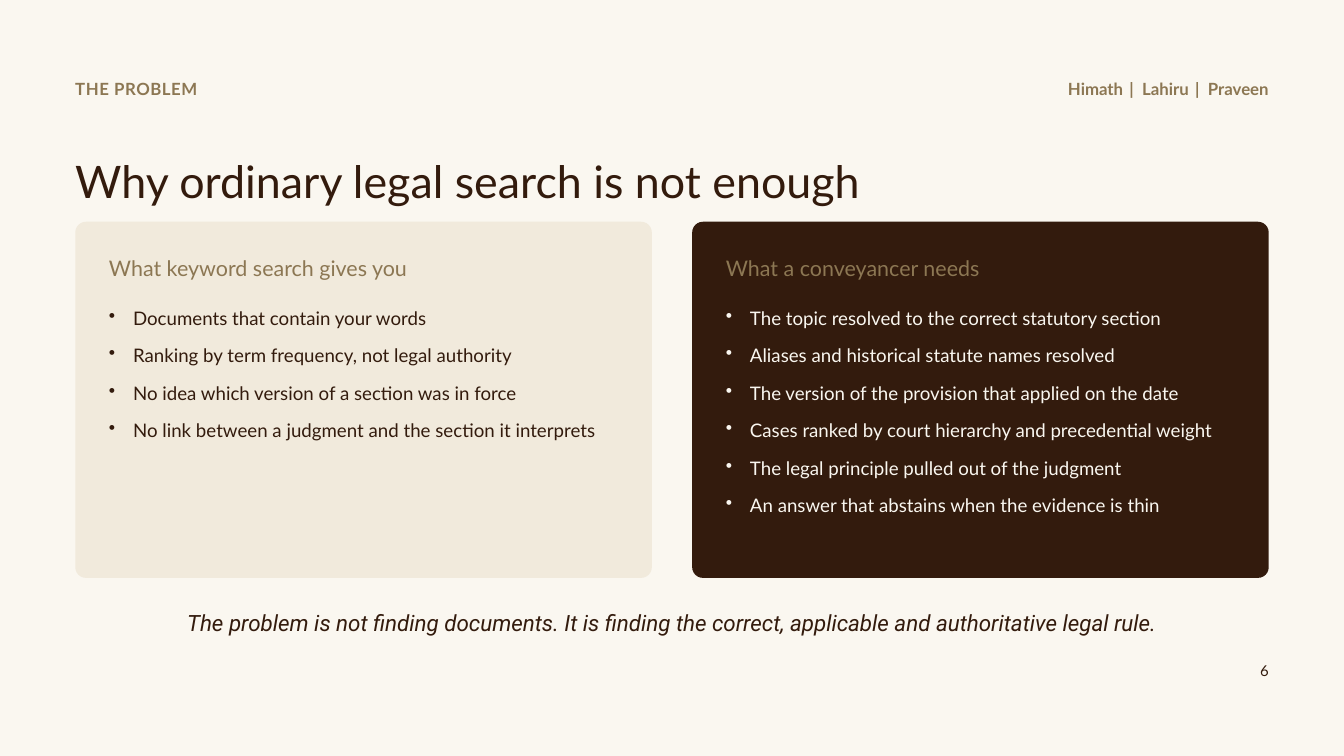
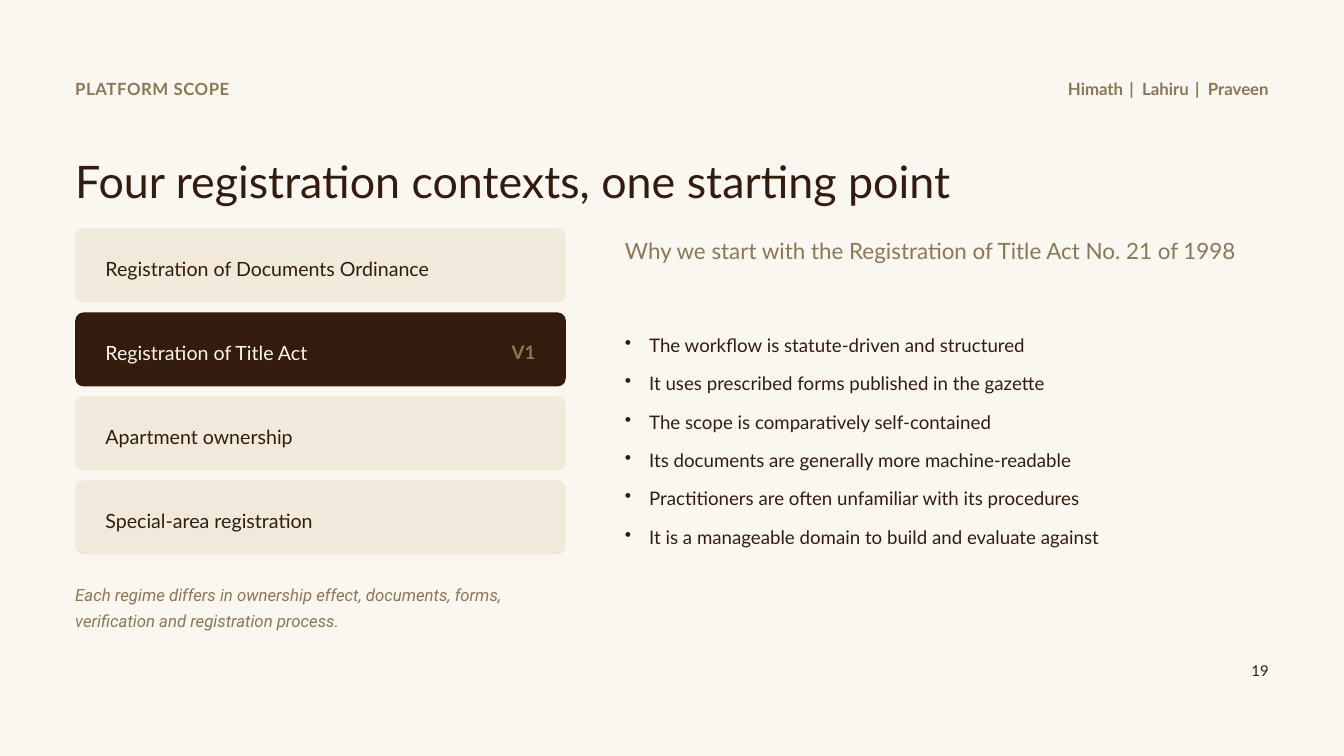
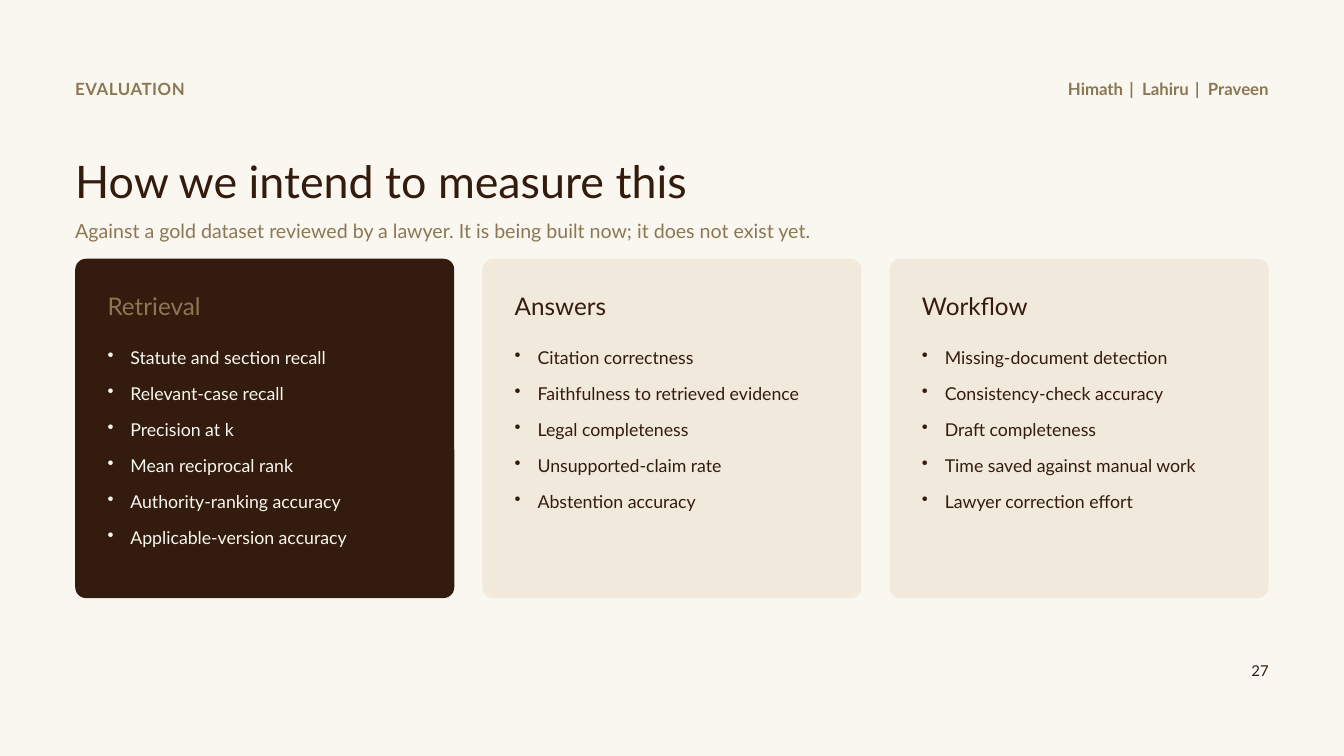
from lxml import etree
from pptx import Presentation
from pptx.dml.color import RGBColor
from pptx.enum.shapes import MSO_SHAPE
from pptx.enum.text import MSO_ANCHOR, MSO_AUTO_SIZE, PP_ALIGN
from pptx.oxml.ns import qn
from pptx.util import Pt

ROUNDED = MSO_SHAPE.ROUNDED_RECTANGLE
LEFT, CENTER, RIGHT = PP_ALIGN.LEFT, PP_ALIGN.CENTER, PP_ALIGN.RIGHT
TOP, MIDDLE = MSO_ANCHOR.TOP, MSO_ANCHOR.MIDDLE

PX = 9144  # EMU per px, 100 px to the inch
SLIDE_W, SLIDE_H = 2000, 1125
MARGIN = 112
CONTENT_W = SLIDE_W - 2 * MARGIN
RIGHT_EDGE = SLIDE_W - MARGIN

COLORS = {"paper": "FAF7F0", "sand": "F1EADC", "brown": "331B0D", "tan": "8C7753"}

# Each style: line spacing, then font values
STYLES = {
    "kicker": (1.05, {"size": Pt(18), "name": "Lato", "bold": True}),
    "page": (1.05, {"size": Pt(16), "name": "Lato"}),
    "title": (1.14, {"size": Pt(48), "name": "Lato"}),
    "subtitle": (1.3, {"size": Pt(21), "name": "Lato"}),
    "takeaway": (1.3, {"size": Pt(24), "name": "Roboto", "italic": True}),
    "note": (1.32, {"size": Pt(18), "name": "Roboto", "italic": True}),
    "context": (1.24, {"size": Pt(21), "name": "Lato"}),
    "badge": (1.2, {"size": Pt(20), "name": "Lato", "bold": True}),
    "reason heading": (1.2, {"size": Pt(24), "name": "Lato"}),
    "problem heading": (1.2, {"size": Pt(23), "name": "Lato"}),
    "metric heading": (1.18, {"size": Pt(26), "name": "Lato"}),
    "list": (1.34, {"size": Pt(20), "name": "Lato"}),
    "metric list": (1.34, {"size": Pt(19), "name": "Lato"}),
}


def add_text(slide, box, lines, style, color, align=LEFT, anchor=TOP, gap=0, indent=0):
    """Write lines, each a list of (text, letter spacing in pt); an indent in px adds bullets."""
    frame = slide.shapes.add_textbox(*(v * PX for v in box)).text_frame
    frame_format = {"word_wrap": True, "auto_size": MSO_AUTO_SIZE.NONE, "vertical_anchor": anchor,
                    "margin_left": 0, "margin_right": 0, "margin_top": 0, "margin_bottom": 0}
    for name, value in frame_format.items():
        setattr(frame, name, value)
    line_spacing, font_format = STYLES[style]
    for number, line in enumerate(lines):
        paragraph = frame.add_paragraph() if number else frame.paragraphs[0]
        paragraph.alignment = align
        paragraph.line_spacing = line_spacing
        if number:
            paragraph.space_before = Pt(gap)
        if indent:
            properties = paragraph._p.get_or_add_pPr()
            properties.set("marL", str(indent * PX))
            properties.set("indent", str(-indent * PX))
            etree.SubElement(properties, qn("a:buChar")).set("char", "•")
        for text, letter_spacing in [(line, 0)] if isinstance(line, str) else line:
            run = paragraph.add_run()
            run.text = text
            for name, value in font_format.items():
                setattr(run.font, name, value)
            run.font.color.rgb = RGBColor.from_string(COLORS[color])
            if letter_spacing:
                run._r.get_or_add_rPr().set("spc", str(round(letter_spacing * 100)))


def add_panel(slide, box, color, radius):
    panel = slide.shapes.add_shape(ROUNDED, *(v * PX for v in box))
    panel.adjustments[0] = radius / min(box[2:])
    panel.shadow.inherit = False
    panel.fill.solid()
    panel.fill.fore_color.rgb = RGBColor.from_string(COLORS[color])
    panel.line.fill.background()


deck = Presentation()
deck.slide_width, deck.slide_height = SLIDE_W * PX, SLIDE_H * PX

# Shared frame: section, presenters, page number, title
headers = [
    ("THE PROBLEM", "Why ordinary legal search is not enough", "6"),
    ("PLATFORM SCOPE", "Four registration contexts, one starting point", "19"),
    ("EVALUATION", "How we intend to measure this", "27"),
]
separator = (" | ", 2.3)
presenters = [("Himath", 0), separator, ("Lahiru", 0), separator, ("Praveen", 0)]

for section, title, page in headers:
    slide = deck.slides.add_slide(deck.slide_layouts[6])
    slide.background.fill.solid()
    slide.background.fill.fore_color.rgb = RGBColor.from_string(COLORS["paper"])
    add_text(slide, (MARGIN, 116, 900, 32), [[(section, 0.6)]], "kicker", "tan")
    add_text(slide, (RIGHT_EDGE - 500, 116, 500, 32), [presenters], "kicker", "tan", RIGHT)
    add_text(slide, (RIGHT_EDGE - 500, 983, 500, 29), [page], "page", "brown", RIGHT)
    add_text(slide, (MARGIN, 218, 1550, 82), [title], "title", "brown")

problem, scope, evaluation = deck.slides

# Rows of cards on the problem and evaluation slides
card_rows = [
    {"slide": problem, "top": 330, "height": 530, "gap": 60, "padding": 50,
     "heading": ("problem heading", 42), "list": ("list", 115), "indent": 36,
     "cards": [
         ("sand", "tan", "brown", "What keyword search gives you", [
             "Documents that contain your words",
             "Ranking by term frequency, not legal authority",
             "No idea which version of a section was in force",
             "No link between a judgment and the section it interprets"]),
         ("brown", "tan", "paper", "What a conveyancer needs", [
             "The topic resolved to the correct statutory section",
             "Aliases and historical statute names resolved",
             "The version of the provision that applied on the date",
             "Cases ranked by court hierarchy and precedential weight",
             "The legal principle pulled out of the judgment",
             "An answer that abstains when the evidence is thin"])]},
    {"slide": evaluation, "top": 385, "height": 505, "gap": 42, "padding": 48,
     "heading": ("metric heading", 40), "list": ("metric list", 120), "indent": 34,
     "cards": [
         ("brown", "tan", "paper", "Retrieval", [
             "Statute and section recall", "Relevant-case recall", "Precision at k",
             "Mean reciprocal rank", "Authority-ranking accuracy",
             "Applicable-version accuracy"]),
         ("sand", "brown", "brown", "Answers", [
             "Citation correctness", "Faithfulness to retrieved evidence",
             "Legal completeness", "Unsupported-claim rate", "Abstention accuracy"]),
         ("sand", "brown", "brown", "Workflow", [
             "Missing-document detection", "Consistency-check accuracy",
             "Draft completeness", "Time saved against manual work",
             "Lawyer correction effort"])]},
]
for row in card_rows:
    slide, top, height, padding = row["slide"], row["top"], row["height"], row["padding"]
    count = len(row["cards"])
    width = (CONTENT_W - (count - 1) * row["gap"]) // count
    heading_style, heading_drop = row["heading"]
    list_style, list_drop = row["list"]
    for column, (fill, heading_color, list_color, heading, points) in enumerate(row["cards"]):
        left = MARGIN + column * (width + row["gap"])
        inner_left, inner_width = left + padding, width - 2 * padding
        add_panel(slide, (left, top, width, height), fill, 16)
        add_text(slide, (inner_left, top + heading_drop, inner_width, 49),
                 [heading], heading_style, heading_color)
        add_text(slide, (inner_left, top + list_drop, inner_width, height - list_drop - padding),
                 points, list_style, list_color, gap=8, indent=row["indent"])

add_text(problem, (MARGIN, 895, CONTENT_W, 49),
         ["The problem is not finding documents. It is finding the correct, "
          "applicable and authoritative legal rule."], "takeaway", "brown", CENTER)
add_text(evaluation, (MARGIN, 315, 1550, 44),
         ["Against a gold dataset reviewed by a lawyer. It is being built now; "
          "it does not exist yet."], "subtitle", "tan")

# Platform scope: the four contexts, with the starting point highlighted
contexts = ["Registration of Documents Ordinance", "Registration of Title Act",
            "Apartment ownership", "Special-area registration"]
starting_point = contexts[1]
context_w, context_h = 730, 110
for position, context in enumerate(contexts):
    top = 340 + position * (context_h + 15)
    fill, ink = ("brown", "paper") if context == starting_point else ("sand", "brown")
    add_panel(scope, (MARGIN, top, context_w, context_h), fill, 12)
    add_text(scope, (MARGIN + 45, top, 540, context_h), [context], "context", ink, anchor=MIDDLE)
    if context == starting_point:
        add_text(scope, (MARGIN + context_w - 135, top, 90, context_h), ["V1"], "badge", "tan",
                 RIGHT, MIDDLE)

add_text(scope, (MARGIN, 860, context_w, 72),
         ["Each regime differs in ownership effect, documents, forms, "
          "verification and registration process."], "note", "tan")

reasons_left = 930
reasons_w = RIGHT_EDGE - reasons_left
add_text(scope, (reasons_left, 345, reasons_w, 46),
         ["Why we start with the Registration of Title Act No. 21 of 1998"],
         "reason heading", "tan")
add_text(scope, (reasons_left, 485, reasons_w, 292), [
    "The workflow is statute-driven and structured",
    "It uses prescribed forms published in the gazette",
    "The scope is comparatively self-contained",
    "Its documents are generally more machine-readable",
    "Practitioners are often unfamiliar with its procedures",
    "It is a manageable domain to build and evaluate against",
], "list", "brown", gap=9, indent=36)

deck.save("out.pptx")
